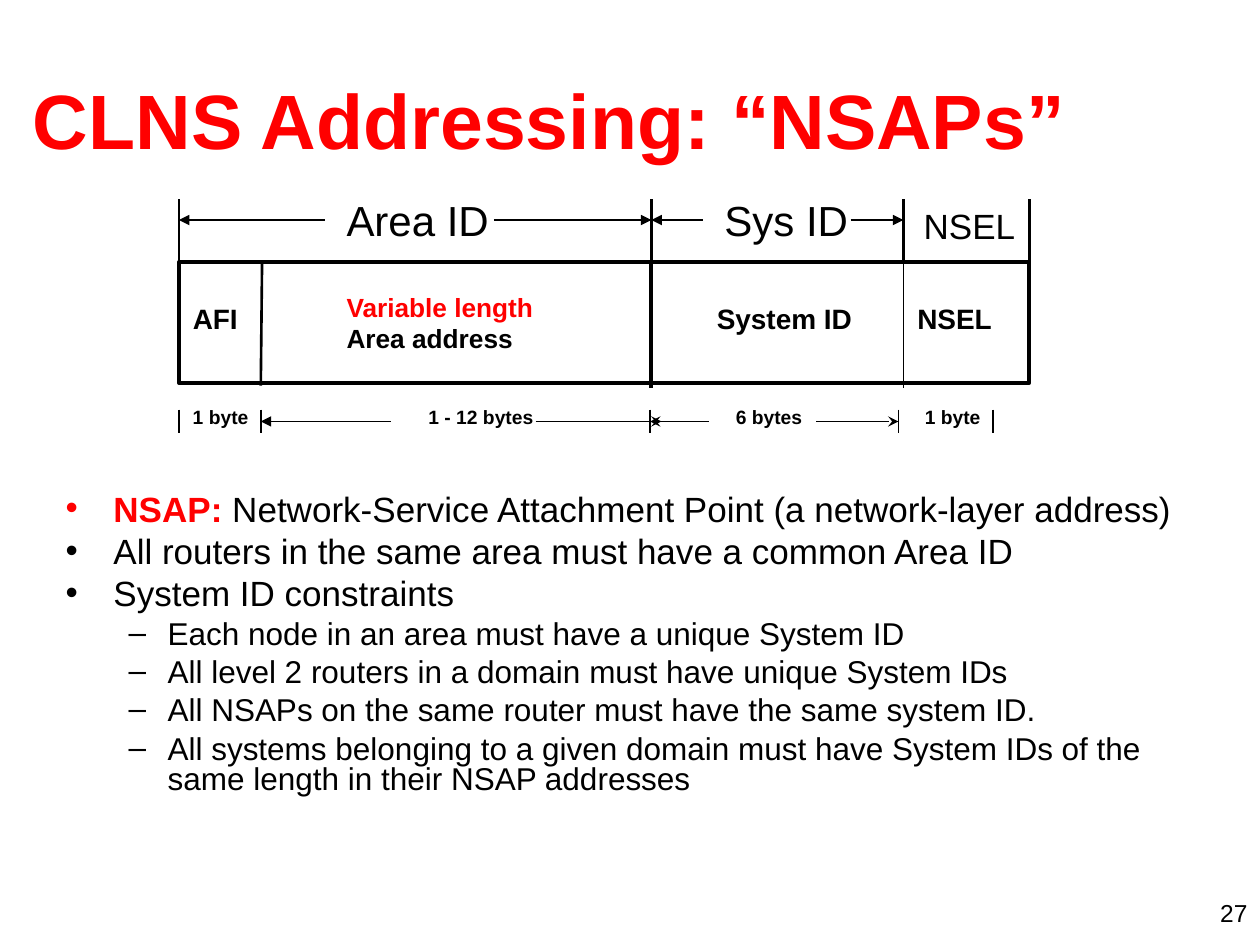
import dataclasses

import pptx
import pptx.dml.color
import pptx.enum.shapes
import pptx.enum.text
import pptx.oxml
import pptx.oxml.ns
import pptx.util

Inches, Pt = pptx.util.Inches, pptx.util.Pt
MSO_ANCHOR, PP_ALIGN = pptx.enum.text.MSO_ANCHOR, pptx.enum.text.PP_ALIGN


@dataclasses.dataclass(frozen=True)
class Theme:
    font: str = "Arial"
    ink: str = "000000"
    accent: str = "FF0000"
    title: int = 44
    span: int = 24
    bullet: int = 20
    dash: int = 18
    field: int = 16
    area: int = 15
    page: int = 14
    size: int = 11
    thin: float = 1
    medium: float = 1.5
    thick: float = 2.25


THEME = Theme()


def rgb(colour):
    return pptx.dml.color.RGBColor.from_string(colour)


def place(shape, left, top, width, height):
    shape.left, shape.top = Inches(left), Inches(top)
    shape.width, shape.height = Inches(width), Inches(height)


def add_run(paragraph, text, size, colour=THEME.ink, bold=False):
    run = paragraph.add_run()
    run.text = text
    for name, value in {"name": THEME.font, "size": Pt(size), "bold": bold}.items():
        setattr(run.font, name, value)
    run.font.color.rgb = rgb(colour)


def set_frame(frame, inset, wrap=False, anchor=MSO_ANCHOR.TOP):
    side, end = inset
    settings = {
        "margin_left": Inches(side), "margin_right": Inches(side),
        "margin_top": Inches(end), "margin_bottom": Inches(end),
        "word_wrap": wrap, "vertical_anchor": anchor,
        "auto_size": pptx.enum.text.MSO_AUTO_SIZE.NONE,
    }
    for name, value in settings.items():
        setattr(frame, name, value)


def add_label(slide, box, lines, size, bold=False, inset=(0.11, 0.06),
              wrap=False, align=PP_ALIGN.LEFT):
    """Each line is a (text, colour) pair."""
    frame = slide.shapes.add_textbox(*map(Inches, box)).text_frame
    set_frame(frame, inset, wrap)
    for number, (text, colour) in enumerate(lines):
        paragraph = frame.add_paragraph() if number else frame.paragraphs[0]
        paragraph.alignment = align
        add_run(paragraph, text, size, colour, bold)


def add_line(slide, start, end, weight, head=None, tail=None):
    line = slide.shapes.add_connector(
        pptx.enum.shapes.MSO_CONNECTOR.STRAIGHT, *map(Inches, (*start, *end)))
    line.line.color.rgb = rgb(THEME.ink)
    line.line.width = Pt(weight)
    outline = line.line._get_or_add_ln()
    for tag, kind in (("a:headEnd", head), ("a:tailEnd", tail)):
        if kind:
            arrow = pptx.oxml.ns.qn(tag)
            outline.append(outline.makeelement(arrow, {"type": kind}))
    effects = pptx.oxml.ns.qn("a:effectLst")
    outline.getparent().append(outline.makeelement(effects, {}))


def add_title(slide, box, text):
    title = slide.shapes.title
    place(title, *box)
    set_frame(title.text_frame, (0.09, 0.04), True, MSO_ANCHOR.MIDDLE)
    paragraph = title.text_frame.paragraphs[0]
    paragraph.alignment = PP_ALIGN.LEFT
    add_run(paragraph, text, THEME.title, THEME.accent, True)


def add_spans(slide, box):
    """Names above the fields, with the spans they cover."""
    left, top, width, height = box
    middle = top + height / 3
    for edge in (0, 3.75, 5.75, width):
        add_line(slide, (left + edge, top), (left + edge, top + height), THEME.medium)
    # Outer edges and the gap left for the name
    for start, gap_start, gap_end, end in ((0, 1.16, 2.5, 3.75), (3.75, 4.16, 5.33, 5.75)):
        add_line(slide, (left + start, middle), (left + gap_start, middle),
                 THEME.medium, head="triangle")
        add_line(slide, (left + gap_end, middle), (left + end, middle),
                 THEME.medium, tail="triangle")
    for text, x, y, w, h, size in (
            ("Area ID", 1.25, -0.08, 1.29, 0.48, THEME.span),
            ("Sys ID", 4.25, -0.08, 1.14, 0.48, THEME.span),
            ("NSEL", 5.83, 0, 0.89, 0.41, THEME.bullet)):
        add_label(slide, (left + x, top + y, w, h), [(text, THEME.ink)],
                  size, inset=(0.08, 0.04))


def add_fields(slide, box):
    """The frame of the address and the fields in it."""
    left, top, width, height = box
    frame = slide.shapes.add_shape(
        pptx.enum.shapes.MSO_SHAPE.RECTANGLE, *map(Inches, box))
    frame.shadow.inherit = False
    frame.fill.background()
    frame.line.color.rgb = rgb(THEME.ink)
    frame.line.width = Pt(THEME.thick)
    for upper, lower, drop, weight in (
            (0.66, 0.65, 0.98, THEME.medium),
            (3.75, 3.75, 1, THEME.thick),
            (5.75, 5.75, 1, THEME.thin)):
        add_line(slide, (left + upper, top), (left + lower, top + drop), weight)
    for text, x, w in (("AFI", 0, 0.58), ("System ID", 4.16, 1.3), ("NSEL", 5.75, 0.82)):
        add_label(slide, (left + x, top + 0.25, w, 0.38), [(text, THEME.ink)],
                  THEME.field, True)
    add_label(slide, (left + 1.22, top + 0.17, 1.78, 0.61),
              [("Variable length", THEME.accent), ("Area address", THEME.ink)],
              THEME.area, True)


def add_sizes(slide, box):
    """Byte counts below the fields."""
    left, top, width, height = box
    middle = top + height / 2
    for edge in (0, 0.65, 3.74, 5.71, width):
        add_line(slide, (left + edge, top), (left + edge, top + height), THEME.thin)
    for start, end, head, tail in (
            (0.65, 1.68, "triangle", None), (2.83, 3.83, None, "stealth"),
            (3.74, 4.21, "stealth", None), (5.06, 5.71, None, "stealth")):
        add_line(slide, (left + start, middle), (left + end, middle),
                 THEME.thin, head, tail)
    for text, x, w in (("1 byte", 0, 0.67), ("1 - 12 bytes", 1.87, 1.06),
                       ("6 bytes", 4.31, 0.76), ("1 byte", 5.81, 0.67)):
        add_label(slide, (left + x, top - 0.09, w, 0.3), [(text, THEME.ink)],
                  THEME.size, True)


def add_rules(slide, box, rules):
    """Each rule is a level and its runs of (text, colour, bold)."""
    body = slide.placeholders[1]
    place(body, *box)
    frame = body.text_frame
    set_frame(frame, (0.1, 0.05), True)
    levels = (("•", THEME.bullet, 5, 0.38, 0.38), ("–", THEME.dash, 4.5, 0.81, 0.31))
    for number, (level, runs) in enumerate(rules):
        mark, size, before, margin, hang = levels[level]
        paragraph = frame.add_paragraph() if number else frame.paragraphs[0]
        for name, value in {"level": level, "line_spacing": 0.8,
                            "space_before": Pt(before), "space_after": Pt(0)}.items():
            setattr(paragraph, name, value)
        for text, colour, bold in runs:
            add_run(paragraph, text, size, colour, bold)
        settings = paragraph._p.get_or_add_pPr()
        settings.set("marL", str(Inches(margin)))
        settings.set("indent", str(-Inches(hang)))
        space = pptx.oxml.ns.nsdecls("a")
        for xml in (f'<a:buClr {space}><a:srgbClr val="{runs[0][1]}"/></a:buClr>',
                    f'<a:buFont {space} typeface="{THEME.font}"/>',
                    f'<a:buChar {space} char="{mark}"/>'):
            settings.append(pptx.oxml.parse_xml(xml))


deck = pptx.Presentation()
deck.slide_width, deck.slide_height = Inches(10), Inches(7.5)
nsap_slide = deck.slides.add_slide(deck.slide_layouts[1])

add_title(nsap_slide, (0.17, 0.32, 9.58, 1.25), "CLNS Addressing: “NSAPs”")
add_rules(nsap_slide, (0.42, 3.88, 9, 3.12), [
    (0, [("NSAP:", THEME.accent, True),
         (" Network-Service Attachment Point (a network-layer address)", THEME.ink, False)]),
    *((level, [(text, THEME.ink, False)]) for level, text in (
        (0, "All routers in the same area must have a common Area ID"),
        (0, "System ID constraints"),
        (1, "Each node in an area must have a unique System ID"),
        (1, "All level 2 routers in a domain must have unique System IDs"),
        (1, "All NSAPs on the same router must have the same system ID."),
        (1, "All systems belonging to a given domain must have System IDs "
            "of the same length in their NSAP addresses"))),
])

# Address diagram, three rows on one left edge
add_fields(nsap_slide, (1.42, 2.08, 6.75, 0.96))
add_sizes(nsap_slide, (1.42, 3.25, 6.46, 0.19))
add_spans(nsap_slide, (1.42, 1.58, 6.75, 0.5))

# Page number
add_label(nsap_slide, (7.67, 7.08, 2.33, 0.25), [("27", THEME.ink)], THEME.page,
          inset=(0.1, 0.05), wrap=True, align=PP_ALIGN.RIGHT)

deck.save("out.pptx")
